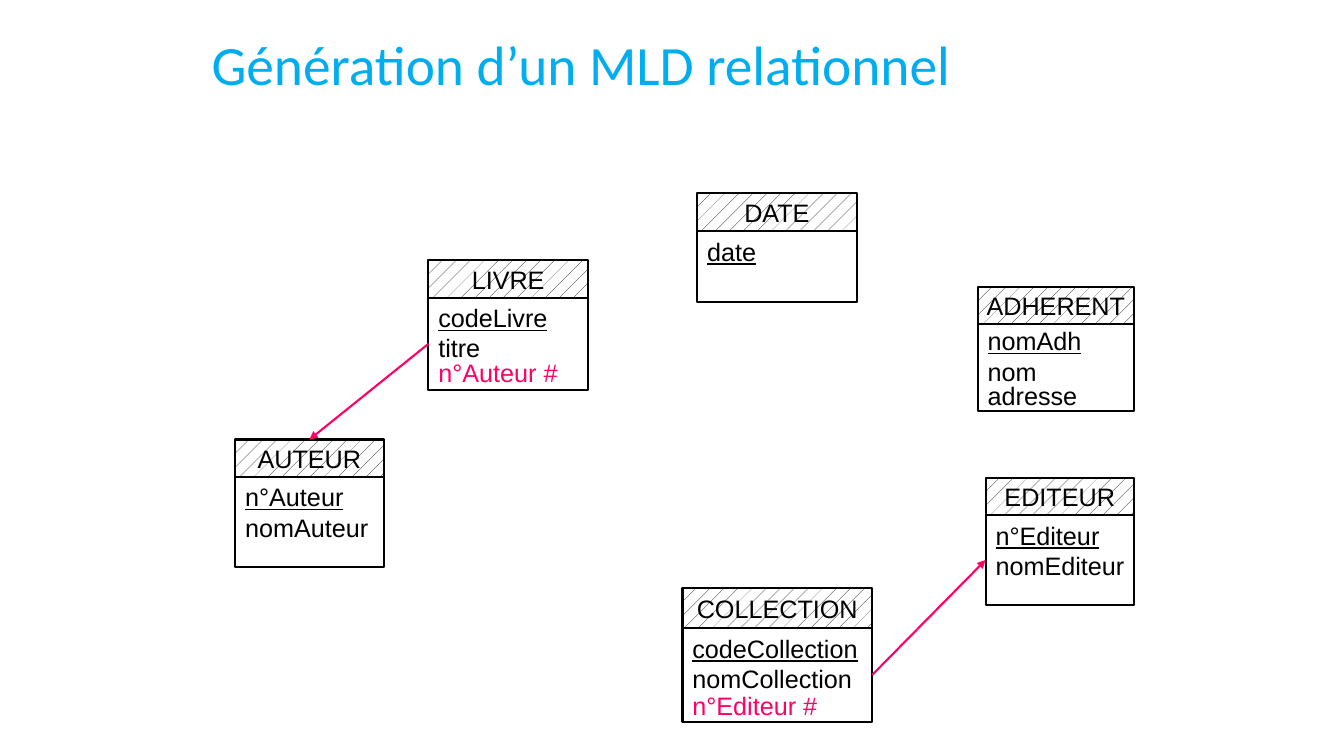
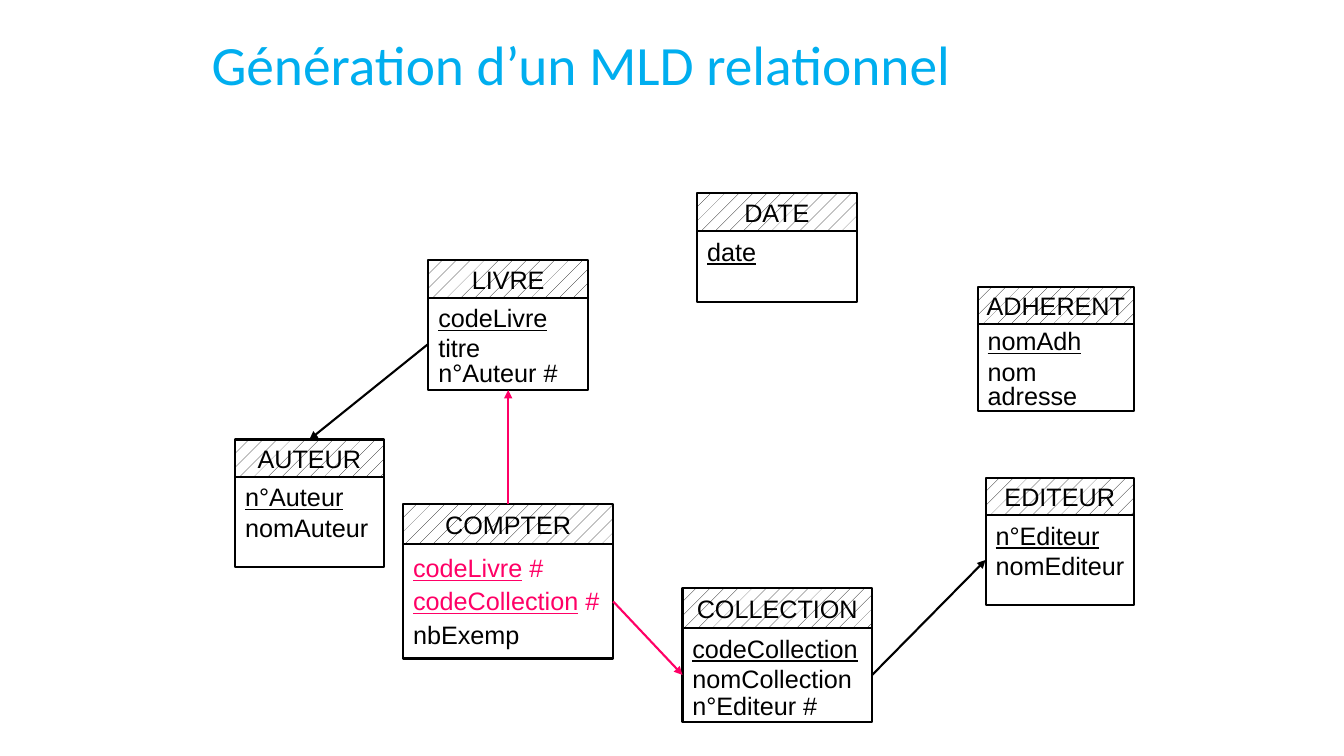
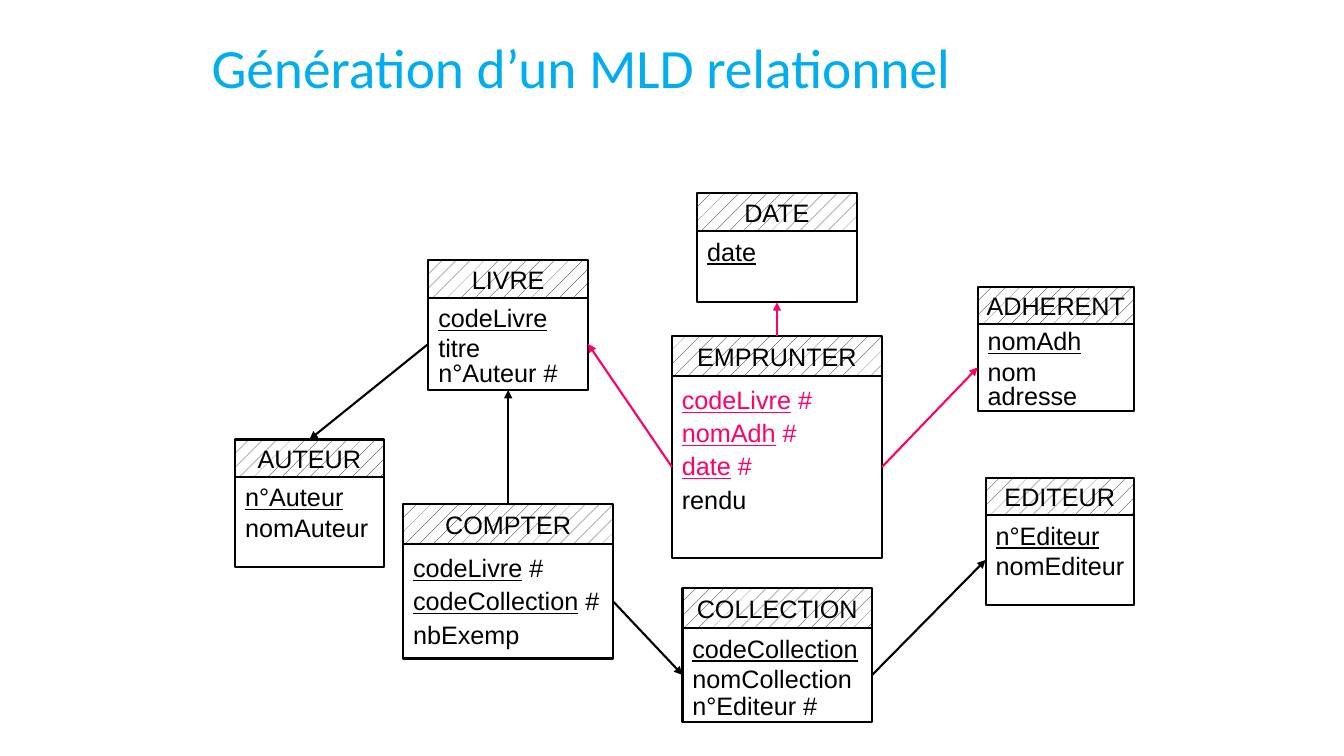
from dataclasses import dataclass

from lxml.etree import SubElement
from pptx import Presentation
from pptx.dml.color import RGBColor
from pptx.enum.dml import MSO_PATTERN
from pptx.enum.shapes import MSO_CONNECTOR, MSO_SHAPE
from pptx.enum.text import MSO_ANCHOR, PP_ALIGN
from pptx.oxml.ns import qn
from pptx.util import Pt

BLACK, WHITE, PINK, CYAN = "000000", "FFFFFF", "FF0066", "00AEEF"
TITLE = "Génération d’un MLD relationnel"
TITLE_HEIGHTS = [48, 48, 52.6]
LINE_WIDTH = 1.5
TOP, LEFT, BOTTOM, RIGHT = range(4)


@dataclass
class Field:
    key: str = ""
    rest: str = ""
    spacing: float = 1.0


@dataclass
class Entity:
    name: str
    box: tuple
    header_height: float
    fields: list


@dataclass
class Link:
    source: str
    source_side: int
    target: str
    target_side: int


STAGES = [
    (
        [
            Entity("ADHERENT", (698.4, 205.2, 111.6, 88.5), 26,
                   [Field("nomAdh", spacing=0.9), Field(rest="nom"),
                    Field(rest="adresse", spacing=0.8)]),
            Entity("AUTEUR", (168, 314, 106, 91), 26.6,
                   [Field("n°Auteur"), Field(rest="nomAuteur")]),
            Entity("LIVRE", (306, 186, 114, 92.6), 26.6,
                   [Field("codeLivre"), Field(rest="titre"),
                    Field(rest="n°Auteur #", spacing=0.8)]),
            Entity("COLLECTION", (487.5, 420, 135.5, 95.6), 28.6,
                   [Field("codeCollection"), Field(rest="nomCollection"),
                    Field(rest="n°Editeur #", spacing=0.9)]),
            Entity("DATE", (498, 138, 114, 78), 27, [Field("date")]),
            Entity("EDITEUR", (704, 341.4, 106, 90.6), 26.6,
                   [Field("n°Editeur"), Field(rest="nomEditeur")]),
        ],
        [Link("LIVRE", LEFT, "AUTEUR", TOP),
         Link("COLLECTION", RIGHT, "EDITEUR", LEFT)],
    ),
    (
        [
            Entity("COMPTER", (288, 360, 150, 110.4), 28.8,
                   [Field("codeLivre", " #", 1.1),
                    Field("codeCollection", " #", 1.1),
                    Field(rest="nbExemp", spacing=1.1)]),
        ],
        [Link("COMPTER", TOP, "LIVRE", BOTTOM),
         Link("COMPTER", RIGHT, "COLLECTION", LEFT)],
    ),
    (
        [
            Entity("EMPRUNTER", (480, 240, 150, 158.4), 28.8,
                   [Field("codeLivre", " #", 1.1), Field("nomAdh", " #", 1.1),
                    Field("date", " #", 1.1),
                    Field(rest="rendu", spacing=1.1)]),
        ],
        [Link("EMPRUNTER", LEFT, "LIVRE", RIGHT),
         Link("EMPRUNTER", RIGHT, "ADHERENT", LEFT),
         Link("EMPRUNTER", TOP, "DATE", BOTTOM)],
    ),
]


def set_color(color_format, value):
    color_format.rgb = RGBColor.from_string(value)


def add_run(paragraph, text, color, size=18, font="Arial", underline=False):
    run = paragraph.add_run()
    run.text = text
    run.font.name = font
    run.font.size = Pt(size)
    run.font.underline = underline
    set_color(run.font.color, color)


def add_title(slide, left, top, width, height):
    text_box = slide.shapes.add_textbox(Pt(left), Pt(top), Pt(width), Pt(height))
    frame = text_box.text_frame
    frame.word_wrap = True
    frame.vertical_anchor = MSO_ANCHOR.MIDDLE
    paragraph = frame.paragraphs[0]
    paragraph.line_spacing = 0.9
    add_run(paragraph, TITLE, CYAN, 39.6, "Calibri")


def add_cell(group, left, top, width, height, anchor):
    shape = group.shapes.add_shape(
        MSO_SHAPE.RECTANGLE, Pt(left), Pt(top), Pt(width), Pt(height))
    shape.shadow.inherit = False
    shape.line.width = Pt(LINE_WIDTH)
    set_color(shape.line.color, BLACK)
    shape.text_frame.word_wrap = False
    shape.text_frame.vertical_anchor = anchor
    return shape


def add_entity(slide, entity, key_color):
    left, top, width, height = entity.box
    group = slide.shapes.add_group_shape()
    header = add_cell(group, left, top, width, entity.header_height,
                      MSO_ANCHOR.MIDDLE)
    header.fill.patterned()
    header.fill.pattern = MSO_PATTERN.PERCENT_5
    set_color(header.fill.fore_color, BLACK)
    set_color(header.fill.back_color, WHITE)
    paragraph = header.text_frame.paragraphs[0]
    paragraph.alignment = PP_ALIGN.CENTER
    add_run(paragraph, entity.name, BLACK)

    body = add_cell(group, left, top + entity.header_height, width,
                    height - entity.header_height, MSO_ANCHOR.TOP)
    body.fill.background()
    frame = body.text_frame
    for index, field in enumerate(entity.fields):
        paragraph = frame.add_paragraph() if index else frame.paragraphs[0]
        paragraph.alignment = PP_ALIGN.LEFT
        paragraph.line_spacing = field.spacing
        color = key_color if "#" in field.rest else BLACK
        if field.key:
            add_run(paragraph, field.key, color, underline=True)
        if field.rest:
            add_run(paragraph, field.rest, color)
    return header, body


def add_link(slide, cells, link, color):
    def end_cell(name, side):
        header, body = cells[name]
        return header if side == TOP else body

    connector = slide.shapes.add_connector(MSO_CONNECTOR.STRAIGHT, 0, 0, 0, 0)
    connector.begin_connect(end_cell(link.source, link.source_side),
                            link.source_side)
    connector.end_connect(end_cell(link.target, link.target_side),
                          link.target_side)
    connector.line.width = Pt(LINE_WIDTH)
    set_color(connector.line.color, color)
    SubElement(connector.line._get_or_add_ln(), qn("a:tailEnd"), type="triangle")
    SubElement(connector._element.spPr, qn("a:effectLst"))


def add_model_slide(presentation, last_stage):
    slide = presentation.slides.add_slide(presentation.slide_layouts[6])
    add_title(slide, 144, 24, 672, TITLE_HEIGHTS[last_stage])
    cells = {}
    for stage, (entities, links) in enumerate(STAGES[:last_stage + 1]):
        color = PINK if stage == last_stage else BLACK
        for entity in entities:
            cells[entity.name] = add_entity(slide, entity, color)
        for link in links:
            add_link(slide, cells, link, color)


def main():
    presentation = Presentation()
    presentation.slide_width = Pt(960)
    presentation.slide_height = Pt(540)
    for stage in range(len(STAGES)):
        add_model_slide(presentation, stage)
    presentation.save("out.pptx")


if __name__ == "__main__":
    main()
